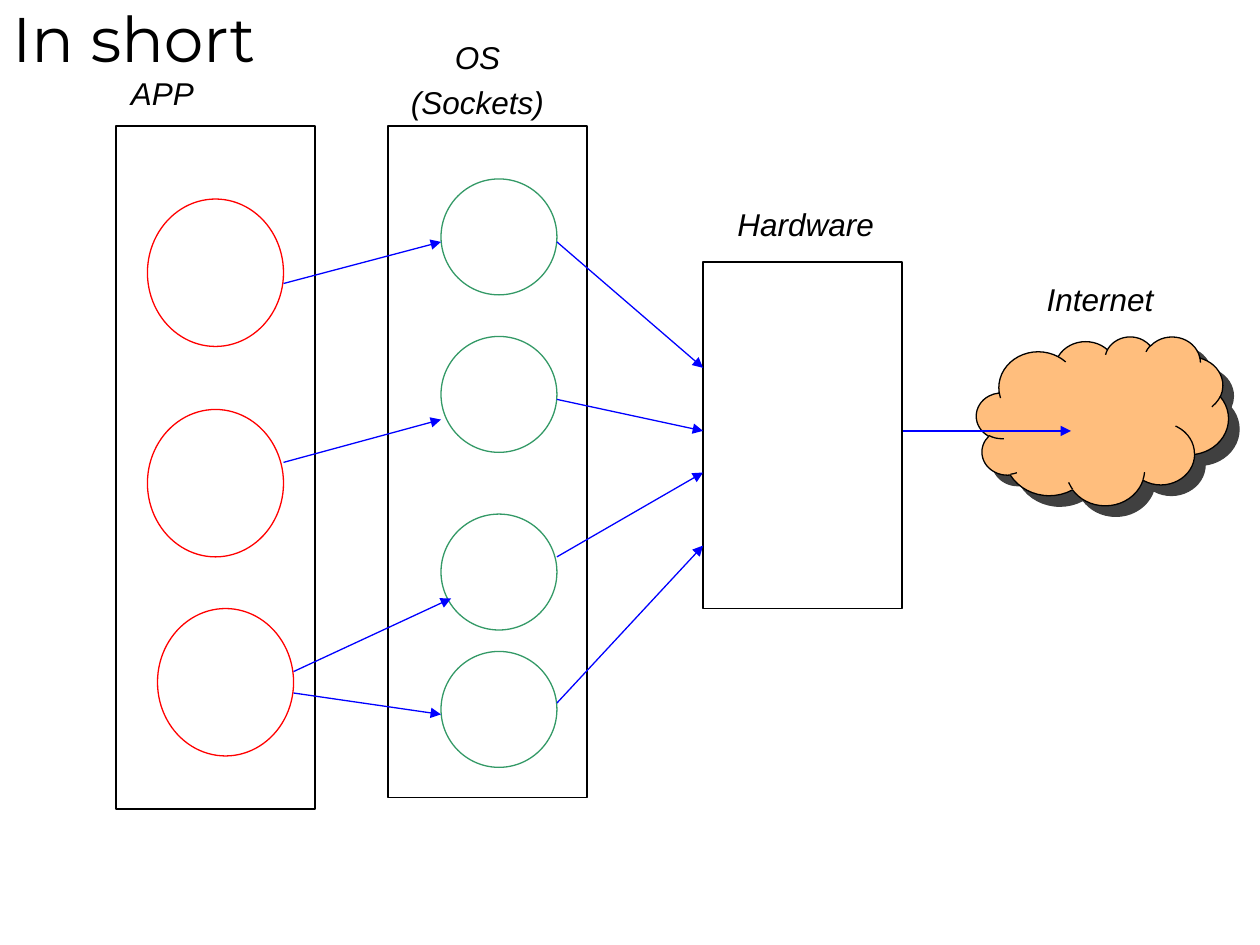
"""Build the slide that shows data passing from apps through sockets and hardware to the internet."""
from lxml.etree import SubElement
from pptx import Presentation
from pptx.dml.color import RGBColor
from pptx.enum.shapes import MSO_CONNECTOR, MSO_SHAPE
from pptx.enum.text import MSO_ANCHOR, PP_ALIGN
from pptx.oxml.ns import qn
from pptx.util import Inches, Pt

COLORS = {
    "text": "000000",
    "frame": "000000",
    "app": "FF0000",
    "socket": "339966",
    "arrow": "0000FF",
    "cloud": "FFBE7D",
}


def add_outline(kind, left, top, width, height, color):
    shape = slide.shapes.add_shape(kind, Inches(left), Inches(top), Inches(width), Inches(height))
    shape.shadow.inherit = False
    shape.fill.background()
    shape.line.color.rgb = RGBColor.from_string(COLORS[color])
    shape.line.width = Pt(0.75)
    return shape


def add_text(lines, left, top, width, height, font_name, size, italic, alignment):
    box = slide.shapes.add_textbox(Inches(left), Inches(top), Inches(width), Inches(height))
    frame = box.text_frame
    frame.word_wrap = True
    frame.text = "\n".join(lines)
    for paragraph in frame.paragraphs:
        paragraph.alignment = alignment
        paragraph.space_before = Pt(4.5 if italic else 0)
        paragraph.font.name = font_name
        paragraph.font.size = Pt(size)
        paragraph.font.italic = italic
        paragraph.font.color.rgb = RGBColor.from_string(COLORS["text"])
    return frame


presentation = Presentation()
presentation.slide_width = Inches(10)
presentation.slide_height = Inches(7.5)
slide = presentation.slides.add_slide(presentation.slide_layouts[6])

cloud = add_outline(MSO_SHAPE.CLOUD, 7.75, 2.67, 2, 1.34, "frame")
cloud.fill.solid()
cloud.fill.fore_color.rgb = RGBColor.from_string(COLORS["cloud"])
effects = cloud._element.spPr.find(qn("a:effectLst"))
shadow = SubElement(effects, qn("a:outerShdw"), dist=str(Pt(8.5)), dir="2700000", algn="ctr", rotWithShape="0")
shadow_color = SubElement(shadow, qn("a:srgbClr"), val=COLORS["frame"])
SubElement(shadow_color, qn("a:alpha"), val="75000")

for left, top, height in [(3.08, 1, 5.33), (0.92, 1, 5.42), (5.58, 2.08, 2.75)]:
    add_outline(MSO_SHAPE.RECTANGLE, left, top, 1.58, height, "frame")

for left, top in [(1.17, 1.58), (1.17, 3.25), (1.25, 4.83)]:
    add_outline(MSO_SHAPE.OVAL, left, top, 1.08, 1.17, "app")

for top in [1.42, 2.67, 4.08, 5.17]:
    add_outline(MSO_SHAPE.OVAL, 3.5, top, 0.92, 0.92, "socket")

arrows = [
    (2.25, 2.25, 3.5, 1.92),
    (2.25, 3.67, 3.5, 3.33),
    (2.33, 5.33, 3.58, 4.75),
    (2.33, 5.5, 3.5, 5.67),
    (4.42, 1.92, 5.58, 2.92),
    (4.42, 3.17, 5.58, 3.42),
    (4.42, 4.42, 5.58, 3.75),
    (4.42, 5.58, 5.58, 4.33),
    (7.17, 3.42, 8.5, 3.42),
]
for ends in arrows:
    arrow = slide.shapes.add_connector(MSO_CONNECTOR.STRAIGHT, *[Inches(value) for value in ends])
    arrow.line.color.rgb = RGBColor.from_string(COLORS["arrow"])
    arrow.line.width = Pt(0.75)
    SubElement(arrow.line._get_or_add_ln(), qn("a:tailEnd"), type="triangle")
    SubElement(arrow._element.spPr, qn("a:effectLst"))

labels = [
    (["APP"], 0.94, 0.54, 1.45, 0.4, PP_ALIGN.LEFT),
    (["OS", "(Sockets)"], 2.79, 0.25, 2, 0.77, PP_ALIGN.CENTER),
    (["Hardware"], 5.38, 1.58, 2.03, 0.4, PP_ALIGN.CENTER),
    (["Internet"], 7.83, 2.17, 1.8, 0.4, PP_ALIGN.CENTER),
]
for lines, left, top, width, height, alignment in labels:
    add_text(lines, left, top, width, height, "Arial", 18, True, alignment)

title_frame = add_text(["In short"], 0, -0.08, 10, 0.75, "Montserrat", 36, False, PP_ALIGN.LEFT)
title_frame.vertical_anchor = MSO_ANCHOR.MIDDLE

presentation.save("out.pptx")
